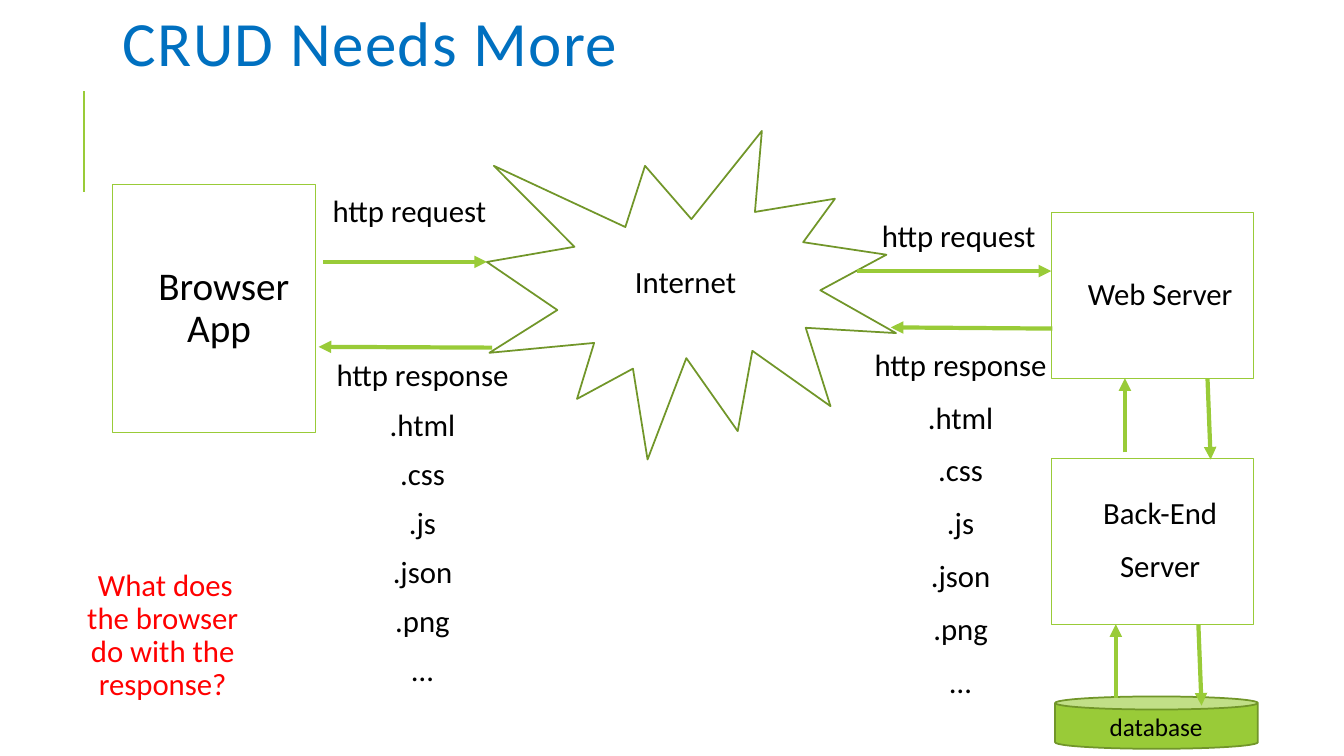
from lxml.etree import SubElement
from pptx import Presentation
from pptx.dml.color import RGBColor
from pptx.enum.shapes import MSO_CONNECTOR, MSO_SHAPE
from pptx.enum.text import MSO_ANCHOR, PP_ALIGN
from pptx.oxml.ns import qn
from pptx.util import Cm, Pt

THEME = {
    "font": "Calibri",
    "green": "99CB38", "dark green": "719629", "blue": "0070C0", "black": "000000", "red": "FF0000",
    "title": 45, "large": 28, "normal": 22, "small": 18,
    "box line": 0.75, "shape line": 1.25, "accent line": 1.5, "arrow line": 3,
}

BOX_WIDTH, SERVER_HEIGHT, LABEL_HEIGHT = 5.11, 4.17, 1.27
SERVER_LEFT, WEB_TOP, BACK_END_TOP, DATABASE_TOP = 26.49, 5.36, 11.56, 17.55
RESPONSE = ["http response", ".html", ".css", ".js", ".json", ".png", "…"]

TITLE = ("CRUD Needs More", (2.84, 0.51, 27, 1.4))
DATABASE_LABEL = ("database", (27.61, 17.81, 3.05, 1.02))
ACCENT = (2.11, 4.83, 2.11, 2.29)

OUTLINES = [
    (MSO_SHAPE.RECTANGLE, (2.84, 4.65, BOX_WIDTH, 6.25), "green", "box line", None),
    (MSO_SHAPE.EXPLOSION1, (12.27, 3.3, 10.31, 8.28), "dark green", "shape line", None),
    (MSO_SHAPE.RECTANGLE, (SERVER_LEFT, WEB_TOP, BOX_WIDTH, SERVER_HEIGHT), "green", "box line", None),
    (MSO_SHAPE.RECTANGLE, (SERVER_LEFT, BACK_END_TOP, BOX_WIDTH, SERVER_HEIGHT), "green", "box line", None),
    (MSO_SHAPE.CAN, (26.59, DATABASE_TOP, BOX_WIDTH, 1.32), "dark green", "shape line", "green"),
]

LABELS = [
    (["Browser App"], (2.84, 4.65, 6.25), "large", "black", 0.9),
    (["Web Server"], (SERVER_LEFT, WEB_TOP, SERVER_HEIGHT), "normal", "black", 0.9),
    (["Back-End", "Server"], (SERVER_LEFT, BACK_END_TOP, SERVER_HEIGHT), "normal", "black", 0.9),
    (["Internet"], (14.53, 6.5, LABEL_HEIGHT), "normal", "black", 0.9),
    (["http request"], (7.57, 4.72, LABEL_HEIGHT), "normal", "black", 0.9),
    (["http request"], (21.41, 5.36, LABEL_HEIGHT), "normal", "black", 0.9),
    (RESPONSE, (7.9, 8.94, 8.61), "normal", "black", 0.8),
    (RESPONSE, (21.46, 8.64, 9.17), "normal", "black", 0.9),
    (["What does the browser do with the response?"], (1.42, 13.64, 4.78), "normal", "red", 0.9),
]

ARROWS = [
    (8.15, 6.6, 12.27, 6.6),
    (21.59, 6.83, SERVER_LEFT, 6.83),
    (26.52, 8.28, 22.45, 8.25),
    (12.4, 8.76, 8.03, 8.74),
    (30.43, 9.53, 30.51, 11.58),
    (28.35, 11.4, 28.35, 9.53),
    (30.2, 15.73, 30.28, 17.78),
    (28.12, 17.58, 28.12, 15.73),
]


def theme_color(name):
    return RGBColor.from_string(THEME[name])


def apply(target, values):
    for name, value in values.items():
        setattr(target, name, value)


def add_outline(slide, kind, place, color, weight, fill):
    outline = slide.shapes.add_shape(kind, *map(Cm, place))
    outline.shadow.inherit = False
    outline.line.color.rgb = theme_color(color)
    outline.line.width = Pt(THEME[weight])
    if fill:
        outline.fill.solid()
        outline.fill.fore_color.rgb = theme_color(fill)
    else:
        outline.fill.background()


def add_line(slide, ends, weight, arrow=False):
    line = slide.shapes.add_connector(MSO_CONNECTOR.STRAIGHT, *map(Cm, ends))
    line.line.color.rgb = theme_color("green")
    line.line.width = Pt(THEME[weight])
    properties = line.element.spPr
    if arrow:
        SubElement(properties.find(qn("a:ln")), qn("a:tailEnd"), type="triangle")
    SubElement(properties, qn("a:effectLst"))


def add_text(slide, lines, place, size, color, frame_format, paragraph_format):
    box = slide.shapes.add_textbox(*map(Cm, place))
    frame = box.text_frame
    apply(frame, {"word_wrap": True, **frame_format})
    for index, words in enumerate(lines):
        paragraph = frame.add_paragraph() if index else frame.paragraphs[0]
        apply(paragraph, paragraph_format)
        run = paragraph.add_run()
        run.text = words
        apply(run.font, {"name": THEME["font"], "size": Pt(THEME[size])})
        run.font.color.rgb = theme_color(color)
    return box


def add_label(slide, lines, position, size, color, spacing):
    left, top, height = position
    insets = dict.fromkeys(["margin_left", "margin_top", "margin_right", "margin_bottom"], Cm(0.13))
    label = add_text(
        slide, lines, (left, top, BOX_WIDTH, height), size, color,
        {"vertical_anchor": MSO_ANCHOR.MIDDLE, **insets},
        {"alignment": PP_ALIGN.CENTER, "line_spacing": spacing,
         "space_before": Pt(12), "space_after": Pt(2)},
    )
    for properties in label.element.iter(qn("a:pPr")):
        properties.set("marL", str(Cm(0.25)))
        properties.set("indent", str(-Cm(0.25)))
        bullet_color = SubElement(properties, qn("a:buClr"))
        SubElement(bullet_color, qn("a:srgbClr"), val=THEME["green"])
        SubElement(properties, qn("a:buChar"), char=" ")


def main():
    deck = Presentation()
    apply(deck, {"slide_width": Cm(33.87), "slide_height": Cm(19.05)})
    slide = deck.slides.add_slide(deck.slide_layouts[6])

    add_line(slide, ACCENT, "accent line")
    words, place = TITLE
    title = add_text(slide, [words], place, "title", "blue",
                     {"vertical_anchor": MSO_ANCHOR.MIDDLE}, {"line_spacing": 0.8})
    for properties in title.element.iter(qn("a:rPr")):
        properties.set("spc", "100")

    for outline in OUTLINES:
        add_outline(slide, *outline)
    for ends in ARROWS:
        add_line(slide, ends, "arrow line", arrow=True)
    for label in LABELS:
        add_label(slide, *label)

    words, place = DATABASE_LABEL
    add_text(slide, [words], place, "small", "black", {}, {"alignment": PP_ALIGN.CENTER})
    deck.save("out.pptx")


if __name__ == "__main__":
    main()
